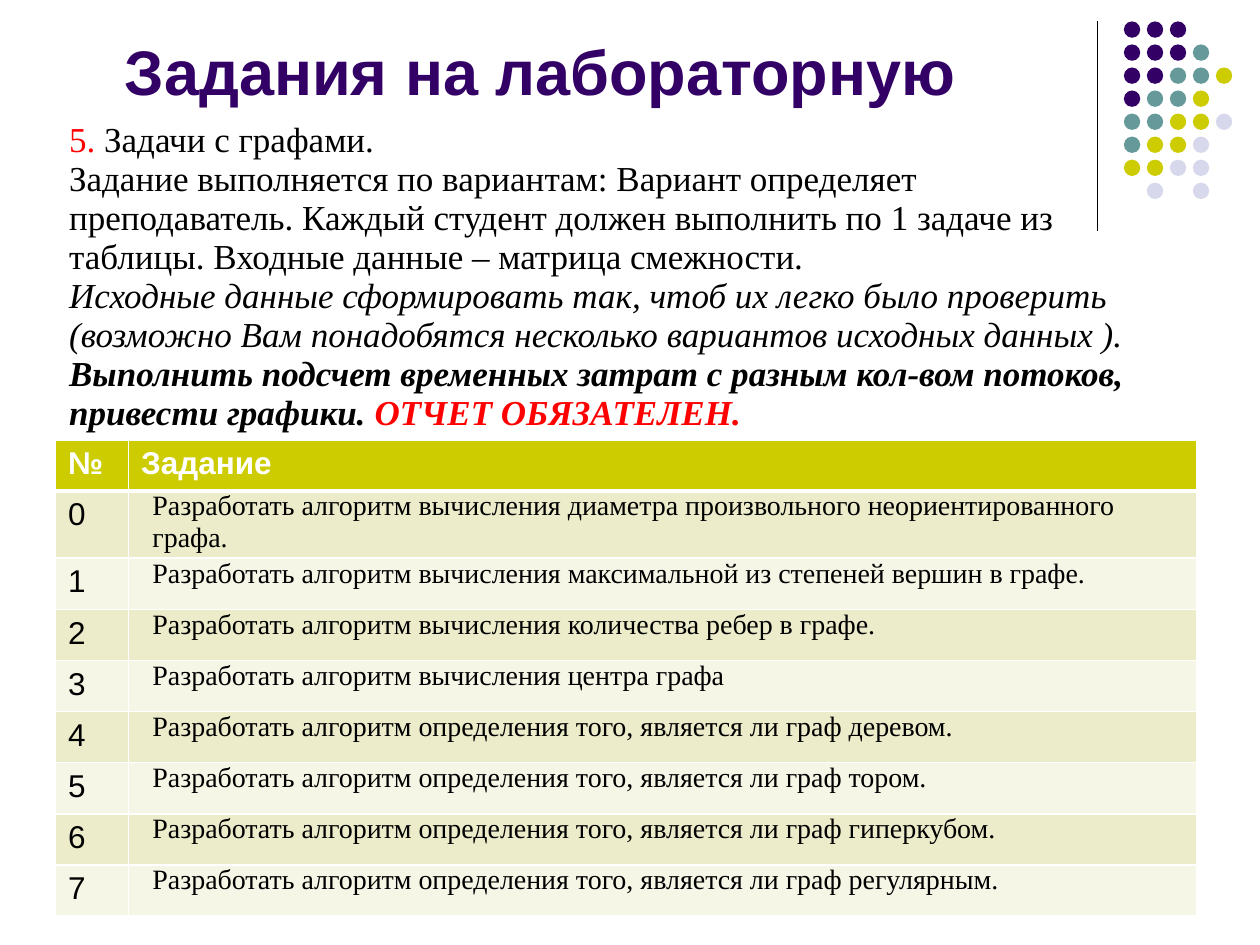
from dataclasses import dataclass

from lxml.etree import SubElement
from pptx import Presentation
from pptx.dml.color import RGBColor
from pptx.enum.shapes import MSO_CONNECTOR, MSO_SHAPE
from pptx.enum.text import MSO_ANCHOR, PP_ALIGN
from pptx.oxml.ns import qn
from pptx.util import Inches, Pt

PURPLE, TEAL, OLIVE, LILAC = "330066", "669999", "CCCC00", "D8D8EC"
BLACK, WHITE, RED = "000000", "FFFFFF", "FF0000"
BANDS = ("ECECCB", "F6F6E7")
SANS, SERIF = "Arial", "Times New Roman"

DOT_COLOURS = {"P": PURPLE, "T": TEAL, "O": OLIVE, "L": LILAC}
DOT_ROWS = ("PPP", "PPPT", "PPTTO", "PTTO", "TTOOL", "TOOL", "OOLL", " L L")

TITLE = "Задания на лабораторную"
# Each paragraph: bold, italic, then its (text, colour) runs
INTRO = (
    (False, False, (("5. ", RED), ("Задачи с графами.", BLACK))),
    (False, False, (("Задание выполняется по вариантам: Вариант определяет "
                     "преподаватель. Каждый студент должен выполнить по 1 задаче из "
                     "таблицы. Входные данные – матрица смежности.", BLACK),)),
    (False, True, (("Исходные данные сформировать так, чтоб их легко было проверить "
                    "(возможно Вам понадобятся несколько вариантов исходных данных ).",
                    BLACK),)),
    (True, True, (("Выполнить подсчет временных затрат с разным кол-вом потоков, "
                   "привести графики. ", BLACK), ("ОТЧЕТ ОБЯЗАТЕЛЕН.", RED))),
)
HEADINGS = ("№", "Задание")
TASKS = tuple("Разработать алгоритм " + ending for ending in (
    "вычисления диаметра произвольного неориентированного графа.",
    "вычисления максимальной из степеней вершин в графе.",
    "вычисления количества ребер в графе.",
    "вычисления центра графа",
    "определения того, является ли граф деревом.",
    "определения того, является ли граф тором.",
    "определения того, является ли граф гиперкубом.",
    "определения того, является ли граф регулярным.",
))


@dataclass
class Box:
    """A region of the page, in inches."""
    left: float
    top: float
    width: float
    height: float

    def lengths(self):
        return [Inches(value) for value in
                (self.left, self.top, self.width, self.height)]


def colour(value):
    return RGBColor.from_string(value)


def set_font(font, name, size, shade=None, bold=False, italic=False):
    font.name, font.size = name, Pt(size)
    font.bold, font.italic = bold, italic
    if shade:
        font.color.rgb = colour(shade)


def add_title(page, box):
    title = page.shapes.title
    title.left, title.top, title.width, title.height = box.lengths()
    frame = title.text_frame
    frame.vertical_anchor = MSO_ANCHOR.BOTTOM
    frame.text = TITLE
    para = frame.paragraphs[0]
    para.alignment = PP_ALIGN.LEFT
    set_font(para.font, SANS, 36, PURPLE, bold=True)


def add_intro(page, box):
    frame = page.shapes.add_textbox(*box.lengths()).text_frame
    frame.word_wrap = True
    for index, (bold, italic, runs) in enumerate(INTRO):
        para = frame.add_paragraph() if index else frame.paragraphs[0]
        para.line_spacing = 0.93
        set_font(para.font, SERIF, 20, bold=bold, italic=italic)
        for text, shade in runs:
            span = para.add_run()
            span.text = text
            span.font.color.rgb = colour(shade)


def add_divider(page, box):
    left, top, _, height = box.lengths()
    line = page.shapes.add_connector(MSO_CONNECTOR.STRAIGHT, left, top, left, top + height)
    line.line.color.rgb = colour(BLACK)
    line.line.width = Pt(0.75)
    SubElement(line._element.spPr, qn("a:effectLst"))


def add_dots(page, box):
    """Fill the box with a grid of dots, 5 columns by 8 rows."""
    size = 0.13
    column_step = (box.width - size) / (max(map(len, DOT_ROWS)) - 1)
    row_step = (box.height - size) / (len(DOT_ROWS) - 1)
    for row, codes in enumerate(DOT_ROWS):
        for column, code in enumerate(codes):
            if code == " ":
                continue
            place = Box(box.left + column * column_step, box.top + row * row_step, size, size)
            dot = page.shapes.add_shape(MSO_SHAPE.OVAL, *place.lengths())
            dot.shadow.inherit = False
            dot.fill.solid()
            dot.fill.fore_color.rgb = colour(DOT_COLOURS[code])
            dot.line.fill.background()


def set_borders(cell, top, bottom):
    """Draw white borders; they must precede the cell's fill."""
    properties = cell._tc.get_or_add_tcPr()
    for side, width in (("L", 1), ("R", 1), ("T", top), ("B", bottom)):
        edge = SubElement(properties, qn(f"a:ln{side}"), w=str(Pt(width)))
        SubElement(SubElement(edge, qn("a:solidFill")), qn("a:srgbClr"), val=WHITE)


def fill_cell(cell, text, row, is_task):
    set_borders(cell, 3 if row == 1 else 1, 1 if row else 3)
    cell.fill.solid()
    cell.fill.fore_color.rgb = colour(BANDS[(row - 1) % 2] if row else OLIVE)
    cell.text = text
    para = cell.text_frame.paragraphs[0]
    if is_task:
        cell.margin_left = cell.margin_right = Inches(0.07)
        cell.margin_top = cell.margin_bottom = 0
        para._p.get_or_add_pPr().set("marL", str(Inches(0.12)))
        set_font(para.font, SERIF, 16, BLACK)
    else:
        set_font(para.font, SANS, 18, BLACK if row else WHITE, bold=not row)


def add_tasks(page, box):
    rows = [HEADINGS] + [(str(number), task) for number, task in enumerate(TASKS)]
    table = page.shapes.add_table(len(rows), 2, *box.lengths()).table
    number_width, tall_row = 0.58, 0.53
    table.columns[0].width = Inches(number_width)
    table.columns[1].width = Inches(box.width - number_width)
    plain_row = (box.height - tall_row) / (len(rows) - 1)
    for row, texts in enumerate(rows):
        table.rows[row].height = Inches(tall_row if row == 1 else plain_row)
        for column, text in enumerate(texts):
            fill_cell(table.cell(row, column), text, row, bool(row and column))


def main():
    deck = Presentation()
    deck.slide_width, deck.slide_height = Inches(10), Inches(7.5)
    page = deck.slides.add_slide(deck.slide_layouts[5])
    add_divider(page, Box(8.71, 0.17, 0, 1.66))
    add_dots(page, Box(8.92, 0.17, 0.86, 1.41))
    add_intro(page, Box(0.45, 0.91, 8.62, 3.01))
    add_title(page, Box(0.89, 0.21, 7.68, 0.7))
    add_tasks(page, Box(0.44, 3.49, 9.06, 3.78))
    deck.save("out.pptx")


if __name__ == "__main__":
    main()
